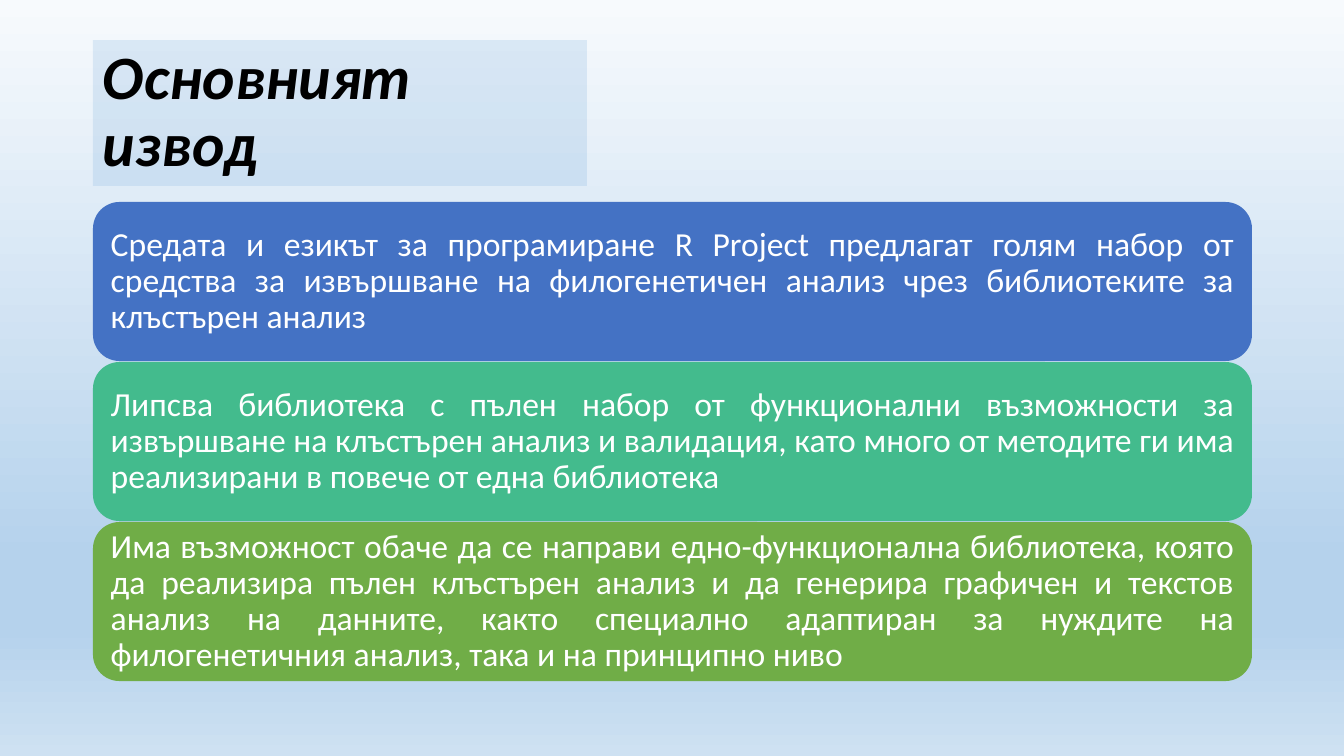
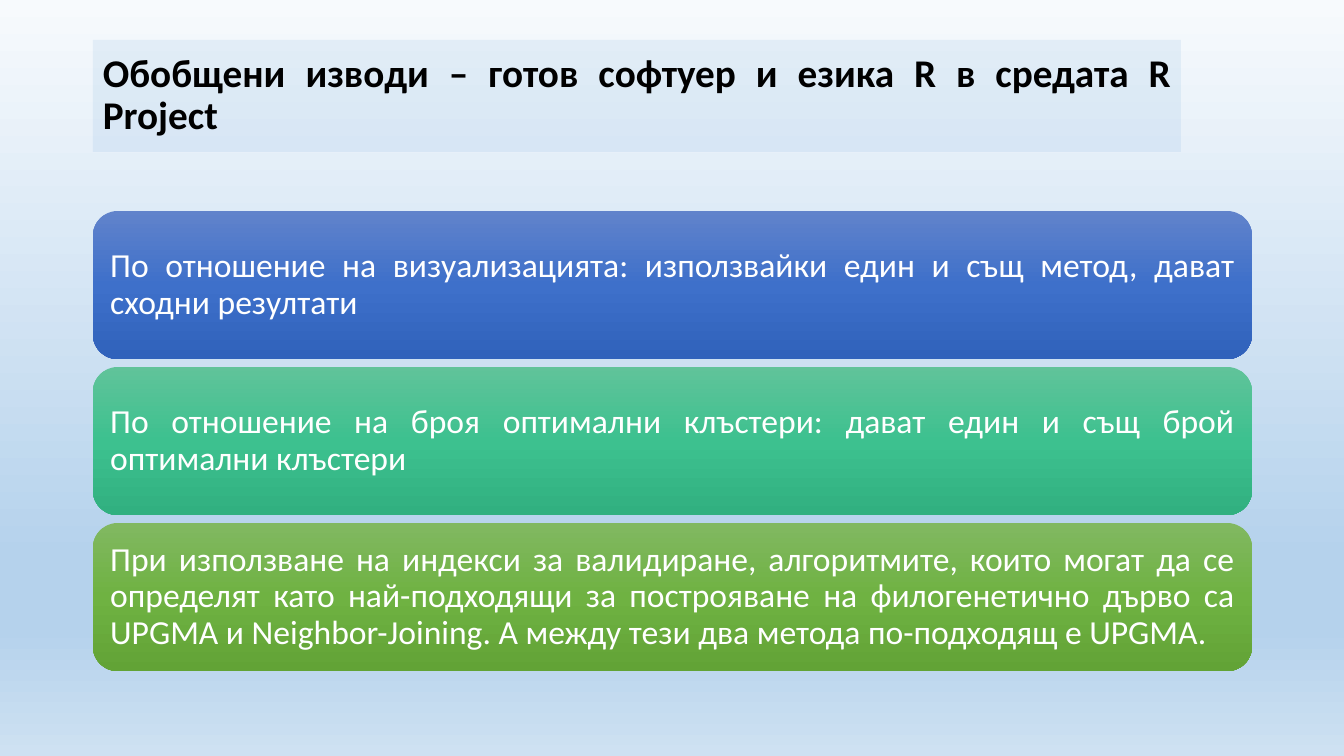
"""Build two conclusion slides, each with a tinted title and three stacked panels."""
import pptx
import pptx.dml.color
import pptx.enum.shapes
import pptx.enum.text
import pptx.oxml.ns
import pptx.util
from lxml import etree

EMU_PER_PX = 914400 / 100.8
SLIDE_SIZE = (1344, 756)
LEFT = 93
PANEL_WIDTH = 1159
FONT = "Calibri"
COLOURS = {
    "sky_top": "F7FAFD", "sky_deep": "B5D2EC", "sky_bottom": "CEE1F2",
    "title_band": "5B9BD5", "title_text": "000000", "panel_text": "FFFFFF",
    "blue": "4472C4", "blue_top": "6183CB", "blue_middle": "3E70CA", "blue_bottom": "3062BB",
    "teal": "43BB8D", "teal_top": "60C39A", "teal_middle": "3DC18F", "teal_bottom": "31B080",
    "green": "70AD47", "green_top": "81B861", "green_middle": "6FB242", "green_bottom": "62A336",
}
BACKGROUND_STOPS = [(0, "sky_top"), (74, "sky_deep"), (83, "sky_deep"), (100, "sky_bottom")]
PANEL_COLOURS = ["blue", "teal", "green"]
JUSTIFY = pptx.enum.text.PP_ALIGN.JUSTIFY
ALIGN_LEFT = pptx.enum.text.PP_ALIGN.LEFT

SLIDES = [
    {
        "title": "Основният извод",
        "title_box": (LEFT, 40, 494, 146),
        "title_style": {"size": 44, "align": ALIGN_LEFT, "italic": True},
        "title_opacity": 17,
        "panels_box": (LEFT, 202, PANEL_WIDTH, 479),
        "gap": 1,
        "shaded": False,
        "panels": [
            "Средата и езикът за програмиране R Project предлагат голям набор от средства "
            "за извършване на филогенетичен анализ чрез библиотеките за клъстърен анализ",
            "Липсва библиотека с пълен набор от функционални възможности за извършване на "
            "клъстърен анализ и валидация, като много от методите ги има реализирани в "
            "повече от една библиотека",
            "Има възможност обаче да се направи едно-функционална библиотека, която да "
            "реализира пълен клъстърен анализ и да генерира графичен и текстов анализ на "
            "данните, както специално адаптиран за нуждите на филогенетичния анализ, така "
            "и на принципно ниво",
        ],
    },
    {
        "title": "Обобщени изводи – готов софтуер и езика R в средата R Project",
        "title_box": (LEFT, 40, 1088, 112),
        "title_style": {"size": 28, "align": JUSTIFY},
        "title_opacity": 11,
        "panels_box": (LEFT, 211, PANEL_WIDTH, 460),
        "gap": 8,
        "shaded": True,
        "panels": [
            "По отношение на визуализацията: използвайки един и същ метод, дават сходни "
            "резултати",
            "По отношение на броя оптимални клъстери: дават един и същ брой оптимални "
            "клъстери",
            "При използване на индекси за валидиране, алгоритмите, които могат да се "
            "определят като най-подходящи за построяване на филогенетично дърво са UPGMA и "
            "Neighbor-Joining. А между тези два метода по-подходящ е UPGMA.",
        ],
    },
]


def px(length):
    """Turn a length in px into EMU."""
    return pptx.util.Emu(round(length * EMU_PER_PX))


def rgb(name):
    """Look up a named colour."""
    return pptx.dml.color.RGBColor.from_string(COLOURS[name])


def fill_gradient(fill, element, stops):
    """Give a fill a top-to-bottom gradient of (percent, colour) stops."""
    fill.gradient()
    fill.gradient_angle = 270
    qn = pptx.oxml.ns.qn
    stop_list = element.find(".//" + qn("a:gsLst"))
    stop_list.clear()
    for percent, name in stops:
        stop = etree.SubElement(stop_list, qn("a:gs"), pos=str(percent * 1000))
        etree.SubElement(stop, qn("a:srgbClr"), val=COLOURS[name])


def fill_solid(shape, name, opacity=100):
    """Fill a shape with one colour at an opacity in percent."""
    shape.fill.solid()
    shape.fill.fore_color.rgb = rgb(name)
    if opacity < 100:
        qn = pptx.oxml.ns.qn
        colour = shape.element.find(".//" + qn("a:srgbClr"))
        etree.SubElement(colour, qn("a:alpha"), val=str(opacity * 1000))


def add_block(slide, kind, box, text, colour, size, align, inset, bold=False, italic=False):
    """Add an unlined shape with one vertically centred paragraph."""
    shape = slide.shapes.add_shape(kind, *map(px, box))
    shape.shadow.inherit = False
    shape.line.fill.background()
    frame = shape.text_frame
    frame.word_wrap = True
    frame.vertical_anchor = pptx.enum.text.MSO_ANCHOR.MIDDLE
    frame.margin_left = frame.margin_right = px(10)
    frame.margin_top = frame.margin_bottom = px(inset)
    paragraph = frame.paragraphs[0]
    paragraph.text = text
    paragraph.alignment = align
    paragraph.line_spacing = 0.9
    font = paragraph.font
    font.name = FONT
    font.size = pptx.util.Pt(size)
    font.bold = bold
    font.italic = italic
    font.color.rgb = rgb(colour)
    return shape


def add_title(slide, box, text, opacity, style):
    """Place the bold title on its translucent band."""
    kind = pptx.enum.shapes.MSO_SHAPE.RECTANGLE
    band = add_block(slide, kind, box, text, "title_text", inset=5, bold=True, **style)
    fill_solid(band, "title_band", opacity)


def add_panels(slide, box, texts, gap, shaded):
    """Stack equal rounded panels in the box, flat or shaded."""
    left, top, width, height = box
    panel_height = (height - gap * (len(texts) - 1)) / len(texts)
    kind = pptx.enum.shapes.MSO_SHAPE.ROUNDED_RECTANGLE
    for index, (text, name) in enumerate(zip(texts, PANEL_COLOURS)):
        panel_box = (left, top + index * (panel_height + gap), width, panel_height)
        panel = add_block(slide, kind, panel_box, text, "panel_text", 24, JUSTIFY, inset=10)
        if shaded:
            stops = [(0, name + "_top"), (50, name + "_middle"), (100, name + "_bottom")]
            fill_gradient(panel.fill, panel.element, stops)
        else:
            fill_solid(panel, name)


def add_conclusion_slide(presentation, content):
    """Add one slide with its background, title and panels."""
    slide = presentation.slides.add_slide(presentation.slide_layouts[6])
    fill_gradient(slide.background.fill, slide.element, BACKGROUND_STOPS)
    add_title(slide, content["title_box"], content["title"],
              content["title_opacity"], content["title_style"])
    add_panels(slide, content["panels_box"], content["panels"],
               content["gap"], content["shaded"])


def main():
    """Build and save the presentation."""
    presentation = pptx.Presentation()
    presentation.slide_width, presentation.slide_height = map(px, SLIDE_SIZE)
    for content in SLIDES:
        add_conclusion_slide(presentation, content)
    presentation.save("out.pptx")


if __name__ == "__main__":
    main()
